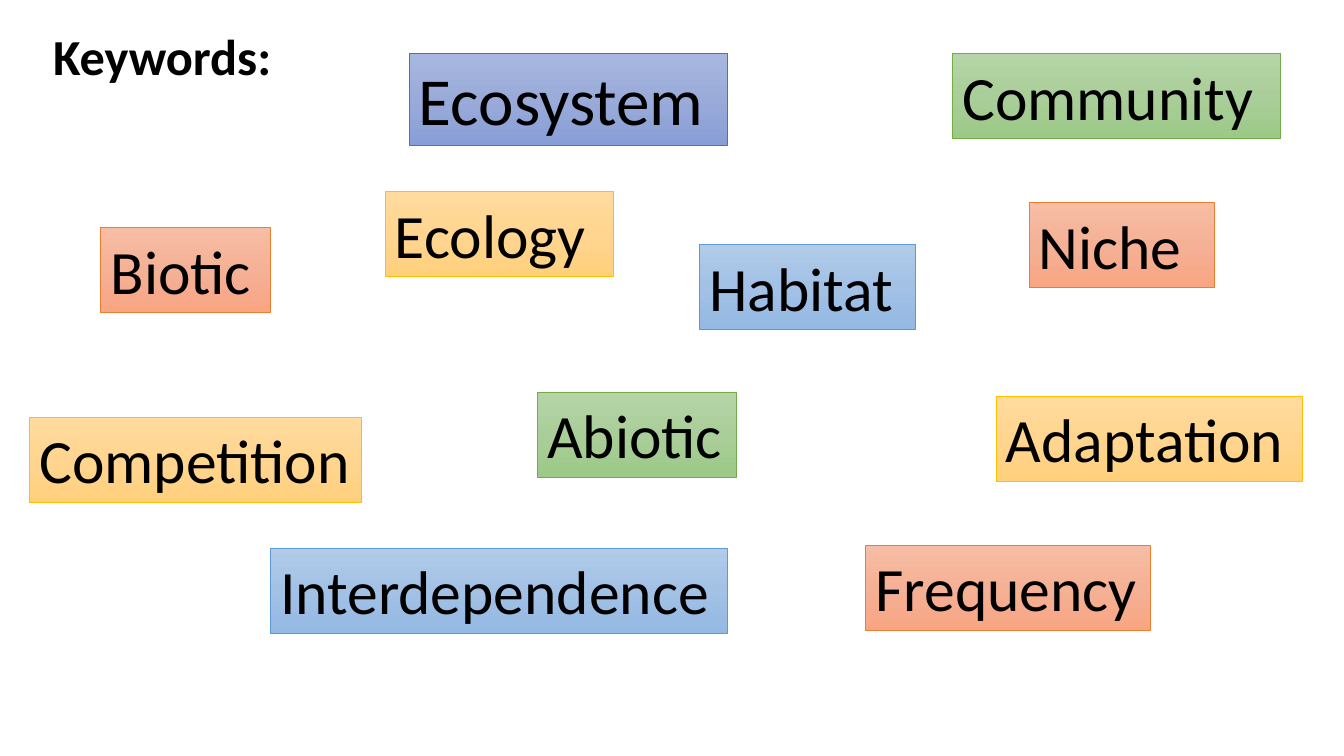
import copy
import pptx
import pptx.util
import pptx.dml.color
import pptx.enum.shapes
import pptx.enum.text
import pptx.oxml.ns

Cm = pptx.util.Cm
Pt = pptx.util.Pt
RGB = pptx.dml.color.RGBColor.from_string

theme = {
    "font": "Calibri",
    "ink": "000000",
    "title": 36,
    "large": 48,
    "word": 44,
    "edge": 0.5,
    "navy": ("A8B7DF", "9AABD9", "889ED7", "4472C4"),
    "blue": ("B1CBE9", "A3C1E5", "93B9E4", "5B9BD5"),
    "gold": ("FFDB9E", "FFD590", "FFD07C", "FFC000"),
    "coral": ("F7BDA5", "F5B196", "F8A582", "ED7D31"),
    "green": ("B5D5A7", "AACE9A", "9CC987", "70AD47"),
}


def write(box, text, size, bold=False):
    frame = box.text_frame
    frame.word_wrap = True
    frame.auto_size = pptx.enum.text.MSO_AUTO_SIZE.SHAPE_TO_FIT_TEXT
    frame.vertical_anchor = pptx.enum.text.MSO_ANCHOR.TOP
    frame.margin_right = 0
    line = frame.paragraphs[0]
    line.alignment = pptx.enum.text.PP_ALIGN.LEFT
    run = line.add_run()
    run.text = text
    run.font.name = theme["font"]
    run.font.size = Pt(size)
    run.font.bold = bold
    run.font.color.rgb = RGB(theme["ink"])


def shade(box, tones):
    fill = box.fill
    fill.gradient()
    fill.gradient_angle = 270
    stops = box._element.spPr.find(".//" + pptx.oxml.ns.qn("a:gsLst"))
    stops.insert(1, copy.deepcopy(stops[0]))
    stops[1].set("pos", "50000")
    for stop, tone in zip(fill.gradient_stops, tones):
        stop.color.rgb = RGB(tone)
    box.line.color.rgb = RGB(tones[3])
    box.line.width = Pt(theme["edge"])


deck = pptx.Presentation()
deck.slide_width = Cm(33.87)
deck.slide_height = Cm(19.05)
slide = deck.slides.add_slide(deck.slide_layouts[6])

title = slide.shapes.add_textbox(Cm(1.09), Cm(0.51), Cm(24.03), Cm(1.8))
write(title, "Keywords:", theme["title"], True)

words = [
    ("Ecosystem", 10.31, 1.35, 8.03, "navy"),
    ("Habitat", 17.63, 6.17, 5.44, "blue"),
    ("Ecology", 9.7, 4.83, 5.77, "gold"),
    ("Biotic", 2.54, 5.74, 4.27, "coral"),
    ("Community", 24, 1.35, 8.28, "green"),
    ("Competition", 0.74, 10.52, 8.38, "gold"),
    ("Abiotic", 13.54, 9.88, 5.03, "green"),
    ("Niche", 24, 5.11, 4.67, "coral"),
    ("Adaptation", 25.1, 9.98, 7.72, "gold"),
    ("Interdependence", 6.81, 13.82, 11.53, "blue"),
    ("Frequency", 21.82, 13.74, 7.16, "coral"),
]
words[7] = ("Niche", 25.93, 5.11, 4.67, "coral")

for word, left, top, width, hue in words:
    large = hue == "navy"
    box = slide.shapes.add_shape(
        pptx.enum.shapes.MSO_SHAPE.RECTANGLE,
        Cm(left), Cm(top), Cm(width), Cm(2.31 if large else 2.14))
    box.shadow.inherit = False
    shade(box, theme[hue])
    write(box, word, theme["large" if large else "word"])

deck.save("out.pptx")
